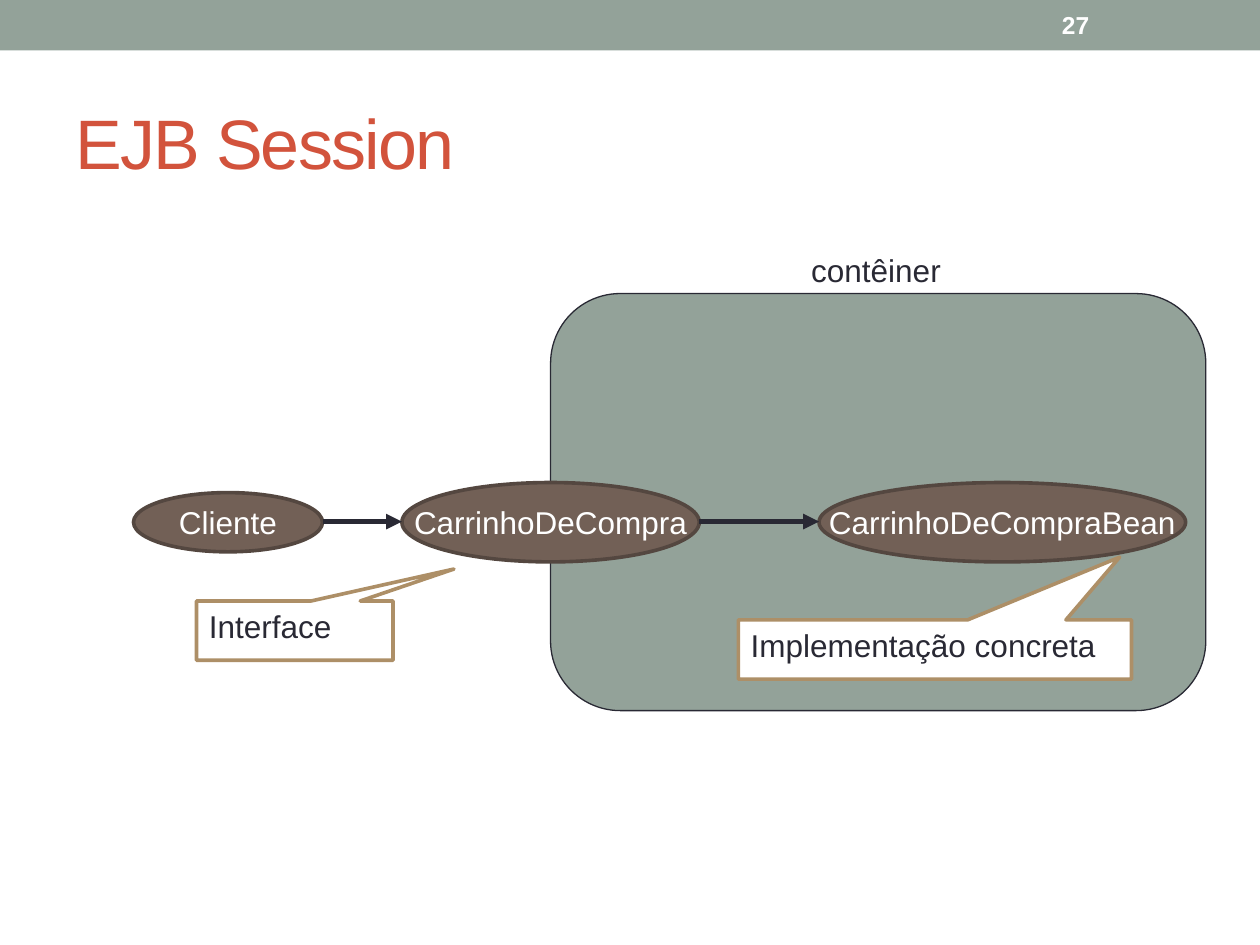
from lxml import etree
from pptx import Presentation
from pptx.dml.color import RGBColor
from pptx.enum.shapes import MSO_CONNECTOR, MSO_SHAPE
from pptx.enum.text import MSO_ANCHOR, PP_ALIGN
from pptx.oxml.ns import qn
from pptx.util import Inches, Pt

RECTANGLE = MSO_SHAPE.RECTANGLE
ROUNDED = MSO_SHAPE.ROUNDED_RECTANGLE
OVAL = MSO_SHAPE.OVAL
CALLOUT = MSO_SHAPE.RECTANGULAR_CALLOUT
STRAIGHT = MSO_CONNECTOR.STRAIGHT
TOP, MIDDLE = MSO_ANCHOR.TOP, MSO_ANCHOR.MIDDLE
LEFT, CENTER = PP_ALIGN.LEFT, PP_ALIGN.CENTER

COLORS = {
    "sage": "93A299",
    "red": "D2533C",
    "dark": "292934",
    "brown": "726056",
    "brown_edge": "544740",
    "tan": "AD8F67",
    "white": "FFFFFF",
}


def add_box(kind, bounds, fill, line=None, line_width=0.75):
    shape = slide.shapes.add_shape(kind, *[Inches(value) for value in bounds])
    shape.shadow.inherit = False
    shape.fill.solid()
    shape.fill.fore_color.rgb = RGBColor.from_string(COLORS[fill])
    if line:
        shape.line.color.rgb = RGBColor.from_string(COLORS[line])
        shape.line.width = Pt(line_width)
    else:
        shape.line.fill.background()
    return shape


def write_text(shape, text, color, size=18, anchor=TOP, align=LEFT, wrap=True):
    frame = shape.text_frame
    frame.word_wrap = wrap
    frame.vertical_anchor = anchor
    paragraph = frame.paragraphs[0]
    paragraph.alignment = align
    run = paragraph.add_run()
    run.text = text
    run.font.name = "Arial"
    run.font.size = Pt(size)
    run.font.color.rgb = RGBColor.from_string(COLORS[color])
    return run


presentation = Presentation()
presentation.slide_width = Inches(10)
presentation.slide_height = Inches(7.5)
slide = presentation.slides.add_slide(presentation.slide_layouts[6])

add_box(RECTANGLE, (0, 0, 10, 0.4), "sage")

title = slide.shapes.add_textbox(Inches(0.5), Inches(0.58), Inches(9), Inches(1.08))
title_run = write_text(title, "EJB Session", "red", 40, MIDDLE)
title_run._r.get_or_add_rPr().set("spc", "-100")

container = add_box(ROUNDED, (4.37, 2.33, 5.2, 3.31), "sage", "dark")
container.adjustments[0] = 0.167

for text, bounds in [
    ("Cliente", (1.06, 3.91, 1.5, 0.47)),
    ("CarrinhoDeCompraBean", (6.5, 3.83, 2.91, 0.63)),
    ("CarrinhoDeCompra", (3.19, 3.83, 2.36, 0.63)),
]:
    ellipse = add_box(OVAL, bounds, "brown", "brown_edge", 2.08)
    write_text(ellipse, text, "white", anchor=MIDDLE, align=CENTER, wrap=False)

label = slide.shapes.add_textbox(Inches(6.34), Inches(1.94), Inches(1.23), Inches(0.4))
write_text(label, "contêiner", "dark", wrap=False)

for start, end in [(2.56, 3.19), (5.55, 6.5)]:
    arrow = slide.shapes.add_connector(
        STRAIGHT, Inches(start), Inches(4.14), Inches(end), Inches(4.14)
    )
    arrow.line.color.rgb = RGBColor.from_string(COLORS["dark"])
    arrow.line.width = Pt(3)
    etree.SubElement(arrow.line._get_or_add_ln(), qn("a:tailEnd"), type="triangle")
    etree.SubElement(arrow._element.spPr, qn("a:effectLst"))

for text, bounds, pointer in [
    ("Interface", (1.56, 4.77, 1.56, 0.47), (0.81, -1.04)),
    ("Implementação concreta", (5.86, 4.92, 3.12, 0.47), (0.47, -1.56)),
]:
    callout = add_box(CALLOUT, bounds, "white", "tan", 2.08)
    callout.adjustments[0], callout.adjustments[1] = pointer
    write_text(callout, text, "dark")

number = slide.shapes.add_textbox(Inches(8.33), Inches(0.02), Inches(1.17), Inches(0.36))
number_run = write_text(number, "27", "white", 14, MIDDLE)
number_run.font.bold = True

presentation.save("out.pptx")
